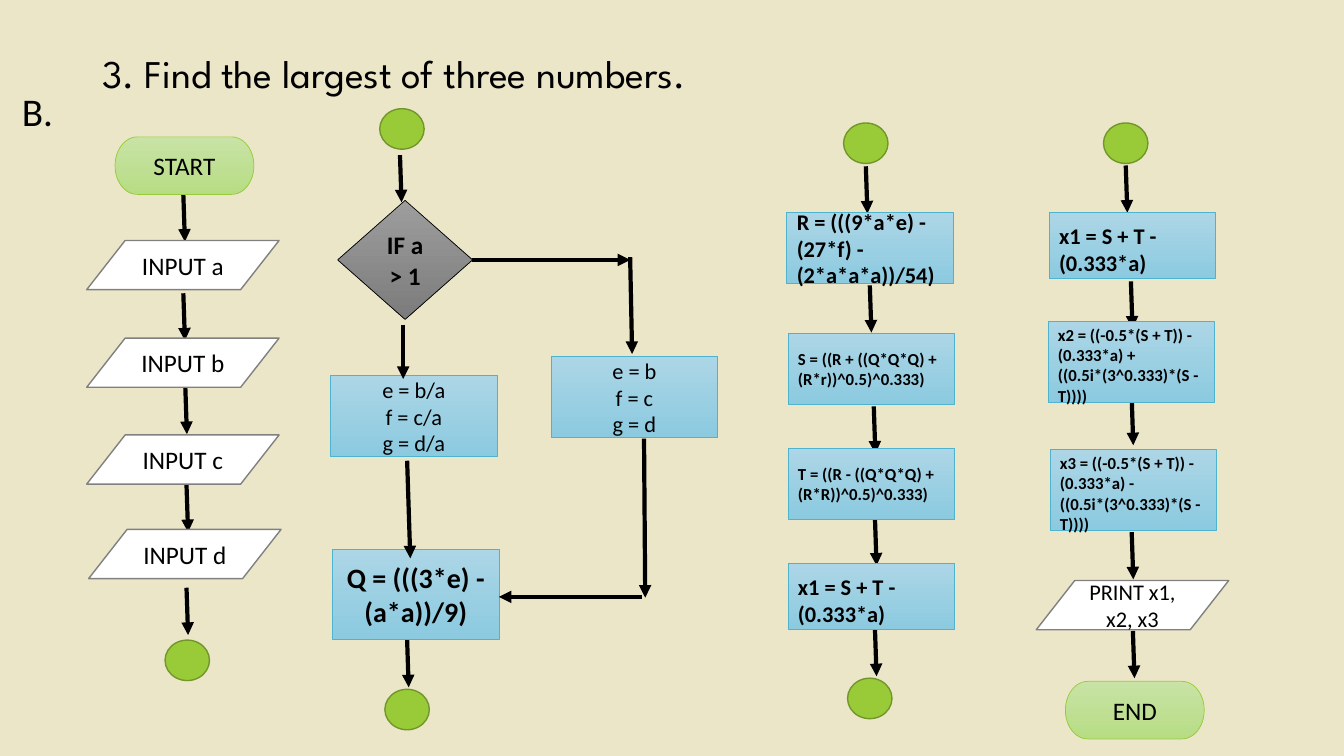
import pptx
import pptx.util
import pptx.dml.color
import pptx.enum.shapes
import pptx.enum.text
import pptx.oxml.ns
from lxml import etree

Cm, Pt = pptx.util.Cm, pptx.util.Pt
SHAPE = pptx.enum.shapes.MSO_SHAPE
ALIGN = pptx.enum.text.PP_ALIGN
ANCHOR = pptx.enum.text.MSO_ANCHOR

THEME = {
    "background": "EBE6C8", "ink": "000000",
    "body": "Calibri", "heading": "League Spartan",
    "title": 28, "large": 20, "label": 18, "step": 16, "small": 12,
    "arrow": 3,
}

# kind: preset, width, height, fill colours, line colour, line width
KINDS = {
    "terminal": (SHAPE.FLOWCHART_TERMINATOR, 3.5, 1.45, ("C8E3A5", "B7DD84"), "99CB38", 0.5),
    "data": (SHAPE.FLOWCHART_DATA, 4.85, 1.24, ("FFFFFF",), "808080", 1),
    "link": (SHAPE.FLOWCHART_CONNECTOR, 1.12, 1.02, ("99CB38",), "719629", 1),
    "decision": (SHAPE.FLOWCHART_DECISION, 3.4, 3.0, ("9D9D9D", "7C7C7C"), "000000", 0.5),
    "process": (SHAPE.FLOWCHART_PROCESS, 4.2, 2.03, ("ACD6E6", "8CCAE0"), "4EB3CF", 0.5),
}

FORMULA = {"bold": True, "align": ALIGN.LEFT}
STEP = {**FORMULA, "size": "step"}
SMALL = {**FORMULA, "size": "small"}
LOW = {"top": 0.3}

# kind, centre x, top, text, text format, height where it differs
INPUT_COLUMN = [
    ("terminal", 4.65, 3.45, "START", {}, None),
    ("data", 4.61, 6.06, "INPUT a", {}, None),
    ("data", 4.61, 8.52, "INPUT b", {}, None),
    ("data", 4.61, 10.96, "INPUT c", {}, None),
    ("data", 4.66, 13.34, "INPUT d", {}, None),
    ("link", 4.72, 16.13, "", {}, None),
]
DECISION_COLUMN = [
    ("link", 10.13, 2.74, "", {}, None),
    ("decision", 10.21, 5.05, "IF a > 1", {"bold": True}, None),
    ("process", 10.43, 9.47, "e = b/a\nf = c/a\ng = d/a", {"size": "step"}, None),
    ("process", 15.99, 8.99, "e = b\nf = c\ng = d", {"size": "step"}, None),
    ("process", 10.48, 13.84, "Q = (((3*e) - (a*a))/9)", {"size": "large", "bold": True}, 2.26),
    ("link", 10.26, 17.37, "", {}, None),
]
FORMULA_COLUMN = [
    ("link", 21.82, 3.1, "", {}, None),
    ("process", 21.93, 5.36, "R = (((9*a*e) - (27*f) - (2*a*a*a))/54)", STEP, 1.78),
    ("process", 21.96, 8.41, "S = ((R + ((Q*Q*Q) + (R*r))^0.5)^0.333)", SMALL, 1.78),
    ("process", 21.96, 11.3, "T = ((R - ((Q*Q*Q) + (R*R))^0.5)^0.333)", SMALL, 1.78),
    ("process", 21.96, 14.2, "x1 = S + T - (0.333*a)", {**STEP, **LOW}, 1.65),
    ("link", 21.92, 17.09, "", {}, None),
]
RESULT_COLUMN = [
    ("link", 28.37, 3.1, "", {}, None),
    ("process", 28.54, 5.36, "x1 = S + T - (0.333*a)", {**STEP, **LOW}, 1.65),
    ("process", 28.51, 8.1, "x2 = ((-0.5*(S + T)) - (0.333*a) + ((0.5i*(3^0.333)*(S - T))))",
     {**SMALL, **LOW}, None),
    ("process", 28.56, 11.33, "x3 = ((-0.5*(S + T)) - (0.333*a) - ((0.5i*(3^0.333)*(S - T))))",
     {**SMALL, **LOW}, None),
    ("data", 28.54, 14.63, "PRINT x1, x2, x3", {"size": "step"}, None),
    ("terminal", 28.6, 17.17, "END", {}, None),
]

# Starts of the short downward arrows
SHORT_BEHIND = [
    (4.62, 4.9), (4.62, 7.39), (4.67, 9.75), (4.7, 12.22), (4.7, 14.81),
    (21.82, 4.19), (21.92, 7.19), (22.02, 10.24), (22.05, 13.06), (22.05, 15.85),
    (28.37, 4.17), (28.5, 7.09), (28.52, 10.03), (28.52, 13.41), (28.55, 15.9),
]
SHORT_FRONT = [(10.08, 3.91), (10.26, 16.13)]
BRANCH_ARROWS = [
    (10.16, 8.18, 10.16, 9.55), (10.26, 11.61, 10.34, 14.07),
    (11.89, 6.55, 15.88, 6.55), (15.88, 6.48, 15.93, 8.92),
    (16.23, 11.05, 16.26, 15.06), (16.18, 15.04, 12.57, 15.04),
]


def rgb(value):
    """Turn a hex string into a colour."""
    return pptx.dml.color.RGBColor.from_string(value)


def write(sp, text, size="label", font="body", bold=False, align=ALIGN.CENTER,
          anchor=ANCHOR.MIDDLE, top=0.13, spacing=None):
    """Put formatted text into a shape, one paragraph a line."""
    tf = sp.text_frame
    tf.word_wrap, tf.vertical_anchor, tf.margin_top = True, anchor, Cm(top)
    for i, line in enumerate(text.split("\n")):
        p = tf.add_paragraph() if i else tf.paragraphs[0]
        p.alignment, p.line_spacing = align, spacing
        r = p.add_run()
        r.text = line
        r.font.name, r.font.size, r.font.bold = THEME[font], Pt(THEME[size]), bold
        r.font.color.rgb = rgb(THEME["ink"])


def add_text(s, box, text, **fmt):
    """Add a text box with left-aligned text."""
    write(s.shapes.add_textbox(*map(Cm, box)), text, size="title",
          align=ALIGN.LEFT, spacing=0.9, **fmt)


def add_node(s, kind, cx, top, text, fmt, height):
    """Add one flowchart symbol centred on cx."""
    preset, width, usual, fills, line, weight = KINDS[kind]
    sp = s.shapes.add_shape(preset, Cm(cx - width / 2), Cm(top), Cm(width), Cm(height or usual))
    sp.shadow.inherit = False
    if len(fills) == 1:
        sp.fill.solid()
        sp.fill.fore_color.rgb = rgb(fills[0])
    else:
        sp.fill.gradient()
        sp.fill.gradient_angle = 270
        for stop, colour in zip(sp.fill.gradient_stops, fills):
            stop.color.rgb = rgb(colour)
            stop.position = fills.index(colour)
    sp.line.color.rgb, sp.line.width = rgb(line), Pt(weight)
    if text:
        write(sp, text, **fmt)


def add_arrow(s, x1, y1, x2, y2):
    """Add a straight arrow that points at its end."""
    sp = s.shapes.add_connector(pptx.enum.shapes.MSO_CONNECTOR.STRAIGHT,
                                *map(Cm, (x1, y1, x2, y2)))
    sp.line.color.rgb, sp.line.width = rgb(THEME["ink"]), Pt(THEME["arrow"])
    qn = pptx.oxml.ns.qn
    etree.SubElement(sp.line._get_or_add_ln(), qn("a:tailEnd"), type="triangle")
    etree.SubElement(sp._element.spPr, qn("a:effectLst"))


def short(starts):
    """Give the ends of short arrows from their starts."""
    return [(x, y, x + 0.04, y + 1.19) for x, y in starts]


prs = pptx.Presentation()
prs.slide_width, prs.slide_height = Cm(33.87), Cm(19.05)
s = prs.slides.add_slide(prs.slide_layouts[6])
s.background.fill.solid()
s.background.fill.fore_color.rgb = rgb(THEME["background"])

add_text(s, (2.34, 1.02, 29.2, 1.78), "3. Find the largest of three numbers.", font="heading")
add_text(s, (0.3, 2.2, 2, 1.5), "B.", anchor=ANCHOR.TOP)
for arrow in short(SHORT_BEHIND):
    add_arrow(s, *arrow)
for node in INPUT_COLUMN + DECISION_COLUMN + FORMULA_COLUMN + RESULT_COLUMN:
    add_node(s, *node)
for arrow in short(SHORT_FRONT) + BRANCH_ARROWS:
    add_arrow(s, *arrow)

prs.save("out.pptx")
